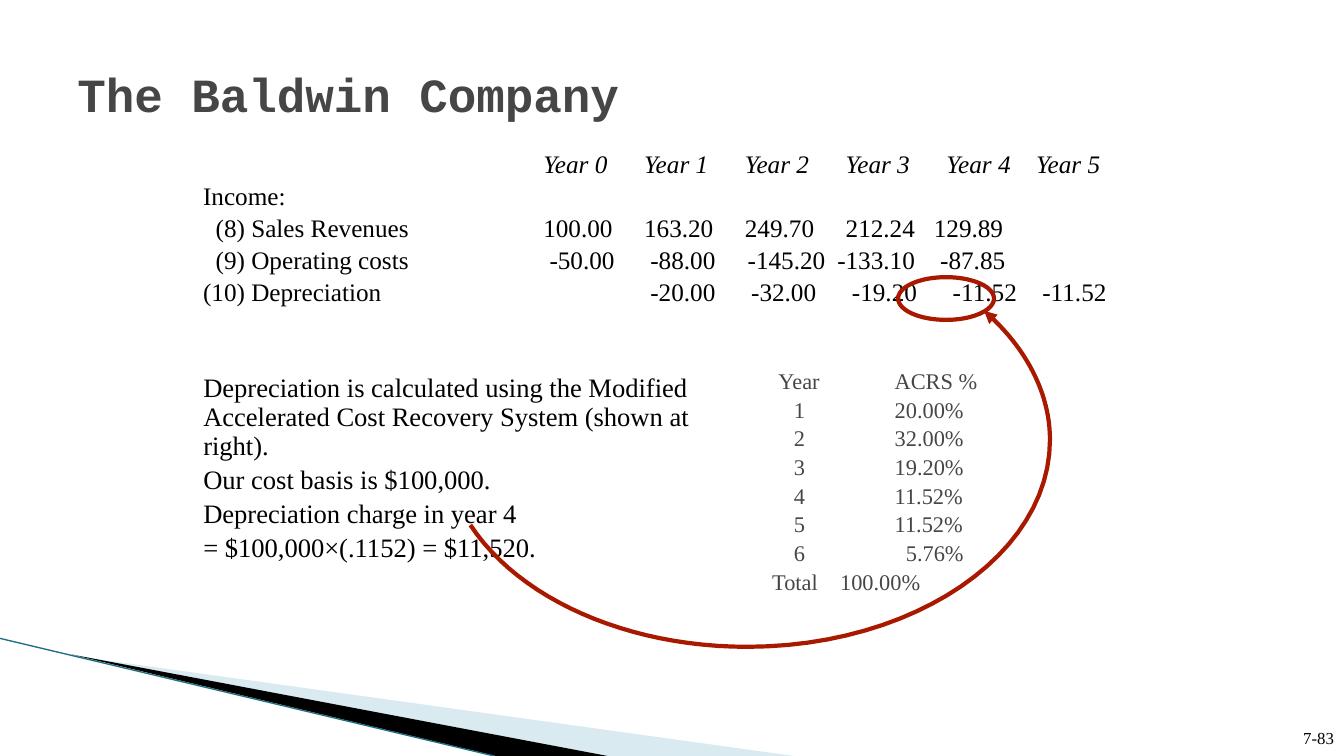
from lxml.etree import SubElement
from pptx import Presentation
from pptx.dml.color import RGBColor
from pptx.enum.shapes import MSO_CONNECTOR, MSO_SHAPE
from pptx.enum.text import MSO_ANCHOR, MSO_AUTO_SIZE, PP_ALIGN
from pptx.oxml.ns import qn
from pptx.util import Pt

COLORS = {"text": "000000", "muted": "464646", "accent": "A81900",
          "pale": "A0CBDC", "edge": "1F6F80"}
SERIF = "Times New Roman"

YEAR_STOPS = [243, 315, 387, 459, 531, 595]
INCOME_ROWS = [
    ("\tYear 0\tYear 1\tYear 2\tYear 3\tYear 4\tYear 5", YEAR_STOPS),
    ("Income:", []),
    ("\t(8) Sales Revenues\t100.00\t163.20\t249.70\t212.24\t129.89",
     [9, 243, 315, 387, 459, 522]),
    ("\t(9) Operating costs\t-50.00\t-88.00\t-145.20\t-133.10\t-87.85",
     [9, 247.5, 319.5, 389, 453, 526.5]),
    ("(10) Depreciation\t-20.00\t-32.00\t-19.20\t-11.52\t-11.52",
     [319.5, 391.5, 463.5, 535.5, 599.5]),
]
EXPLANATION = [
    "Depreciation is calculated using the Modified Accelerated Cost Recovery "
    "System (shown at right).",
    "Our cost basis is $100,000.",
    "Depreciation charge in year 4",
    "= $100,000×(.1152) = $11,520.",
]
RATES = ["20.00%", "32.00%", "19.20%", "11.52%", "11.52%", "5.76%"]
RATE_STOPS = [27, 99]
LAST_RATE_STOPS = [27, 107]
CURVE = [
    [(336, 375), (371, 428), (448, 462), (533.5, 462)],
    [(533.5, 462), (653, 462), (750, 396), (750, 314)],
    [(750, 314), (750, 281), (733, 248), (703, 222)],
]


def write(paragraph, text, size=18, font=SERIF, color="text", bold=False, italic=False,
          align=PP_ALIGN.LEFT, spacing=1.0, before=0, stops=()):
    properties = paragraph._p.get_or_add_pPr()
    if stops:
        tabs = SubElement(properties, qn("a:tabLst"))
        for stop in stops:
            SubElement(tabs, qn("a:tab"), pos=str(Pt(stop)), algn="l")
    else:
        properties.set("marL", "0")
        properties.set("indent", "0")
        SubElement(properties, qn("a:buNone"))
    paragraph.alignment = align
    paragraph.line_spacing = spacing
    paragraph.space_before = Pt(before)
    paragraph.space_after = Pt(0)
    run = paragraph.add_run()
    run.text = text
    run.font.size = Pt(size)
    run.font.name = font
    run.font.bold = bold
    run.font.italic = italic
    run.font.color.rgb = RGBColor.from_string(COLORS[color])


def bezier_point(controls, t):
    weights = [(1 - t) ** 3, 3 * t * (1 - t) ** 2, 3 * t ** 2 * (1 - t), t ** 3]
    return tuple(sum(weight * point[axis] for weight, point in zip(weights, controls))
                 for axis in (0, 1))


class BaldwinSlide:
    def __init__(self, presentation):
        self.slide = presentation.slides.add_slide(presentation.slide_layouts[1])
        self.shapes = self.slide.shapes

    def fill_frame(self, shape, rows, before=0, anchor=MSO_ANCHOR.TOP, **style):
        frame = shape.text_frame
        frame.word_wrap = True
        frame.auto_size = MSO_AUTO_SIZE.NONE
        frame.vertical_anchor = anchor
        for index, (text, stops, extra) in enumerate(rows):
            paragraph = frame.add_paragraph() if index else frame.paragraphs[0]
            write(paragraph, text, stops=stops, before=before if index else 0,
                  **{**style, **extra})

    def placeholder(self, index, box, rows, **style):
        shape = self.slide.placeholders[index]
        shape.left, shape.top, shape.width, shape.height = map(Pt, box)
        self.fill_frame(shape, rows, **style)

    def text(self, box, rows, **style):
        self.fill_frame(self.shapes.add_textbox(*map(Pt, box)), rows, **style)

    def outline(self, shape, color, width):
        shape.line.color.rgb = RGBColor.from_string(COLORS[color])
        shape.line.width = Pt(width)

    def freeform(self, points, close):
        start, *others = [(Pt(x), Pt(y)) for x, y in points]
        builder = self.shapes.build_freeform(*start)
        builder.add_line_segments(others, close=close)
        shape = builder.convert_to_shape()
        shape.shadow.inherit = False
        return shape

    def wedge(self, points, color, opacity=100):
        shape = self.freeform(points, close=True)
        shape.fill.solid()
        shape.fill.fore_color.rgb = RGBColor.from_string(COLORS[color])
        shape.line.fill.background()
        if opacity < 100:
            fill_color = shape._element.spPr.find(qn("a:solidFill"))[0]
            SubElement(fill_color, qn("a:alpha"), val=str(opacity * 1000))

    def line(self, start, end, color, width):
        connector = self.shapes.add_connector(
            MSO_CONNECTOR.STRAIGHT, *map(Pt, start + end))
        self.outline(connector, color, width)
        SubElement(connector._element.spPr, qn("a:effectLst"))

    def ring(self, box, color, width):
        shape = self.shapes.add_shape(MSO_SHAPE.OVAL, *map(Pt, box))
        shape.shadow.inherit = False
        shape.fill.background()
        self.outline(shape, color, width)

    def curved_arrow(self, curves, color, width, steps=24):
        points = [curves[0][0]] + [bezier_point(controls, step / steps)
                                   for controls in curves
                                   for step in range(1, steps + 1)]
        shape = self.freeform(points, close=False)
        shape.fill.background()
        self.outline(shape, color, width)
        SubElement(shape._element.spPr.find(qn("a:ln")), qn("a:tailEnd"), type="triangle")


def main():
    presentation = Presentation()
    presentation.slide_width, presentation.slide_height = Pt(960), Pt(540)
    page = BaldwinSlide(presentation)

    page.wedge([(52.5, 468.5), (567, 540), (434, 540)], "pale", opacity=40)
    page.wedge([(51, 467.5), (434, 540), (354, 540)], "text")
    page.line((0, 456), (353, 540), "edge", 0.95)

    page.placeholder(0, (48, 21.5, 864, 90), [("The Baldwin Company", [], {})],
                     anchor=MSO_ANCHOR.MIDDLE, size=34, font="Courier New",
                     color="muted", bold=True)
    page.text((138, 106.5, 690, 130),
              [(text, stops, {"italic": stops is YEAR_STOPS})
               for text, stops in INCOME_ROWS],
              spacing=0.8, before=5.5)
    page.placeholder(1, (138, 264, 408, 171), [(text, [], {}) for text in EXPLANATION],
                     size=19, spacing=0.9, before=3.9)

    rate_rows = [("\tYear\tACRS %", [16, 99], {})]
    for year, rate in enumerate(RATES, 1):
        stops = LAST_RATE_STOPS if year == len(RATES) else RATE_STOPS
        rate_rows.append((f"\t{year}\t{rate}", stops, {}))
    rate_rows.append(("\tTotal\t100.00%", [11.5, 60], {}))
    page.text((533, 261, 204, 172), rate_rows, size=16, color="muted",
              spacing=0.9, before=3.2)

    page.ring((641.5, 198, 68.5, 30.5), "accent", 3)
    page.curved_arrow(CURVE, "accent", 3)
    page.text((880, 516, 80, 22), [("7-83", [], {})], size=12, align=PP_ALIGN.RIGHT)
    presentation.save("out.pptx")


if __name__ == "__main__":
    main()
